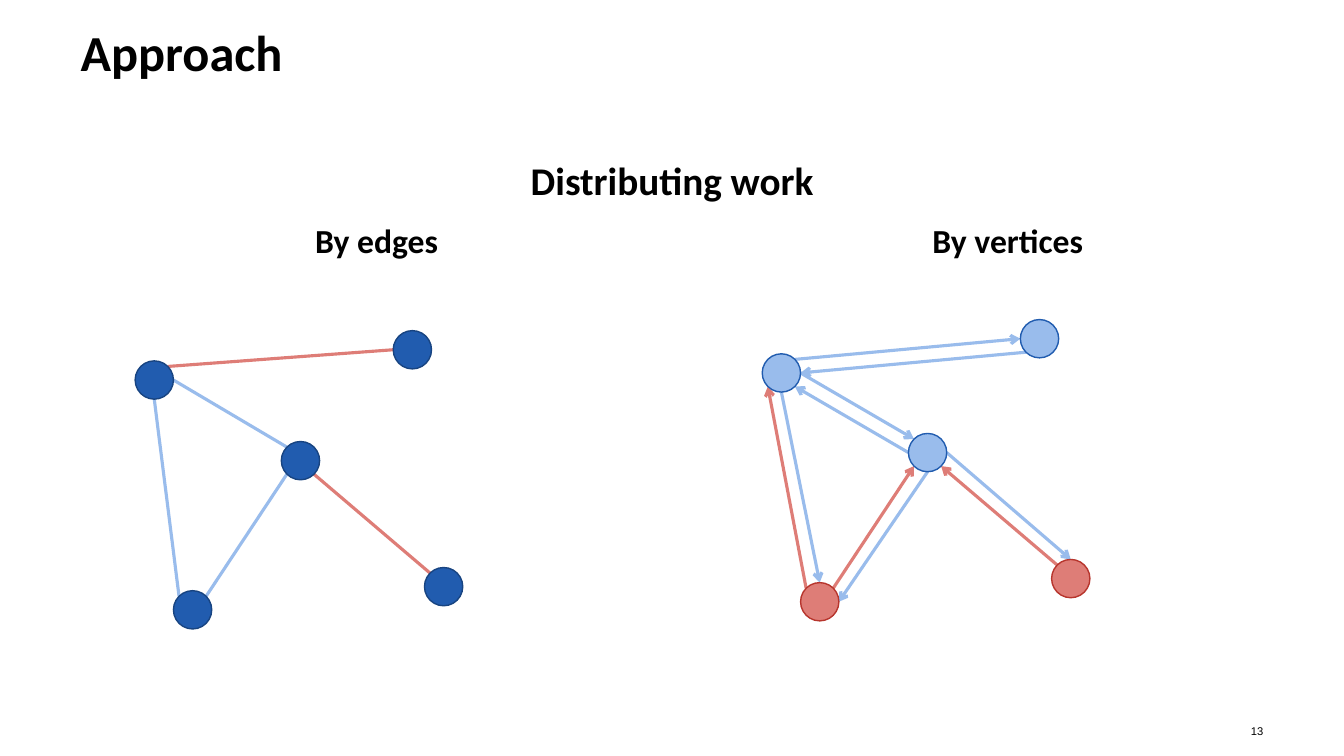
from math import cos, radians, sin

from lxml import etree
from pptx import Presentation
from pptx.dml.color import RGBColor
from pptx.enum.shapes import MSO_CONNECTOR as Connector, MSO_SHAPE as Shape
from pptx.enum.text import MSO_ANCHOR as Anchor, MSO_AUTO_SIZE as AutoSize, PP_ALIGN as Align
from pptx.oxml.ns import qn
from pptx.util import Inches, Pt

BLACK = RGBColor(0x00, 0x00, 0x00)
NAVY = RGBColor(0x18, 0x44, 0x81)
BLUE = RGBColor(0x21, 0x5C, 0xAF)
LIGHT_BLUE = RGBColor(0x99, 0xBC, 0xEC)
RED = RGBColor(0xB7, 0x35, 0x2D)
LIGHT_RED = RGBColor(0xDE, 0x7D, 0x77)

TITLE = "Approach"
TOPIC = "Distributing work"
PAGE = "13"
MARGIN, CONTENT_WIDTH, COLUMN_WIDTH = 0.8, 11.73, 5.87
HEADINGS = [("By edges", MARGIN), ("By vertices", 7.06)]

# Left and top of each vertex
EDGE_VERTICES = {"hub": (1.34, 3.58), "top": (3.9, 3.28), "mid": (2.79, 4.38),
                 "low": (1.72, 5.86), "right": (4.21, 5.63)}
SPLIT_VERTICES = {"hub": (7.56, 3.51), "top": (10.12, 3.17), "mid": (9.01, 4.3),
                  "low": (7.94, 5.78), "right": (10.43, 5.55)}
DIAMETER = 0.38

# Start vertex and side, end vertex and side, colour
EDGES = [
    ("hub", "E", "mid", "NW", LIGHT_BLUE),
    ("mid", "SE", "right", "NW", LIGHT_RED),
    ("mid", "SW", "low", "NE", LIGHT_BLUE),
    ("hub", "NE", "top", "W", LIGHT_RED),
    ("hub", "S", "low", "NW", LIGHT_BLUE),
]
# An arrow takes the colour of the vertex it starts from
ARROWS = [
    ("hub", "E", "mid", "NW"), ("mid", "W", "hub", "SE"),
    ("mid", "E", "right", "N"), ("right", "NW", "mid", "SE"),
    ("low", "NE", "mid", "SW"), ("mid", "S", "low", "E"),
    ("hub", "NE", "top", "W"), ("top", "SW", "hub", "E"),
    ("low", "NW", "hub", "SW"), ("hub", "S", "low", "N"),
]
VERTEX_FILLS = {"hub": LIGHT_BLUE, "top": LIGHT_BLUE, "mid": LIGHT_BLUE,
                "low": LIGHT_RED, "right": LIGHT_RED}
OUTLINES = {BLUE: NAVY, LIGHT_BLUE: BLUE, LIGHT_RED: RED}
SIDES = ["E", "SE", "S", "SW", "W", "NW", "N", "NE"]


def write(holder, text, box, size, align=Align.CENTER, font="Calibri",
          bold=True, anchor=Anchor.TOP, before=0):
    holder.left, holder.top, holder.width, holder.height = map(Inches, box)
    frame = holder.text_frame
    frame.auto_size, frame.word_wrap = AutoSize.NONE, True
    frame.vertical_anchor = anchor
    frame.margin_left = frame.margin_right = frame.margin_top = frame.margin_bottom = 0
    frame.text = text
    paragraph = frame.paragraphs[0]
    paragraph.alignment, paragraph.space_before = align, Pt(before)
    paragraph.font.name, paragraph.font.size = font, Pt(size)
    paragraph.font.bold, paragraph.font.color.rgb = bold, BLACK
    return paragraph


def rim_point(corner, side):
    angle = radians(45 * SIDES.index(side))
    radius = DIAMETER / 2
    return (Inches(corner[0] + radius + radius * cos(angle)),
            Inches(corner[1] + radius + radius * sin(angle)))


def draw_edge(shapes, vertices, edge, color, arrow=False):
    start, start_side, end, end_side = edge
    edge_line = shapes.add_connector(
        Connector.STRAIGHT, *rim_point(vertices[start], start_side),
        *rim_point(vertices[end], end_side))
    edge_line.line.color.rgb, edge_line.line.width = color, Pt(2.25)
    if arrow:
        etree.SubElement(edge_line.line._get_or_add_ln(), qn("a:tailEnd"), type="arrow")
    etree.SubElement(edge_line._element.spPr, qn("a:effectLst"))


def draw_vertex(shapes, corner, fill):
    vertex = shapes.add_shape(Shape.OVAL, *map(Inches, (*corner, DIAMETER, DIAMETER)))
    vertex.shadow.inherit = False
    vertex.fill.solid()
    vertex.fill.fore_color.rgb = fill
    vertex.line.color.rgb, vertex.line.width = OUTLINES[fill], Pt(1)


def main():
    deck = Presentation()
    deck.slide_width, deck.slide_height = Inches(13.33), Inches(7.5)
    slide = deck.slides.add_slide(deck.slide_layouts[1])
    shapes = slide.shapes

    title = write(shapes.title, TITLE, (MARGIN, 0.28, CONTENT_WIDTH, 0.98), 36, Align.LEFT)
    title.line_spacing = 0.9
    topic = write(slide.placeholders[1], TOPIC, (MARGIN, 1.55, CONTENT_WIDTH, 5.31),
                  28, before=10)
    properties = topic._p.get_or_add_pPr()
    properties.set("marL", "0")
    properties.set("indent", "0")
    bullet = etree.SubElement(properties, qn("a:buNone"))
    properties.find(qn("a:defRPr")).addprevious(bullet)

    for heading, left in HEADINGS:
        write(shapes.add_textbox(0, 0, 0, 0), heading, (left, 2.18, COLUMN_WIDTH, 0.48),
              24, before=10)
    write(shapes.add_textbox(0, 0, 0, 0), PAGE, (12.18, 7.13, 0.35, 0.24), 8,
          Align.RIGHT, "Arial", False, Anchor.MIDDLE)

    for *edge, color in EDGES:
        draw_edge(shapes, EDGE_VERTICES, edge, color)
    for arrow in ARROWS:
        draw_edge(shapes, SPLIT_VERTICES, arrow, VERTEX_FILLS[arrow[0]], arrow=True)
    for corner in EDGE_VERTICES.values():
        draw_vertex(shapes, corner, BLUE)
    for name, corner in SPLIT_VERTICES.items():
        draw_vertex(shapes, corner, VERTEX_FILLS[name])

    deck.save("out.pptx")


if __name__ == "__main__":
    main()
